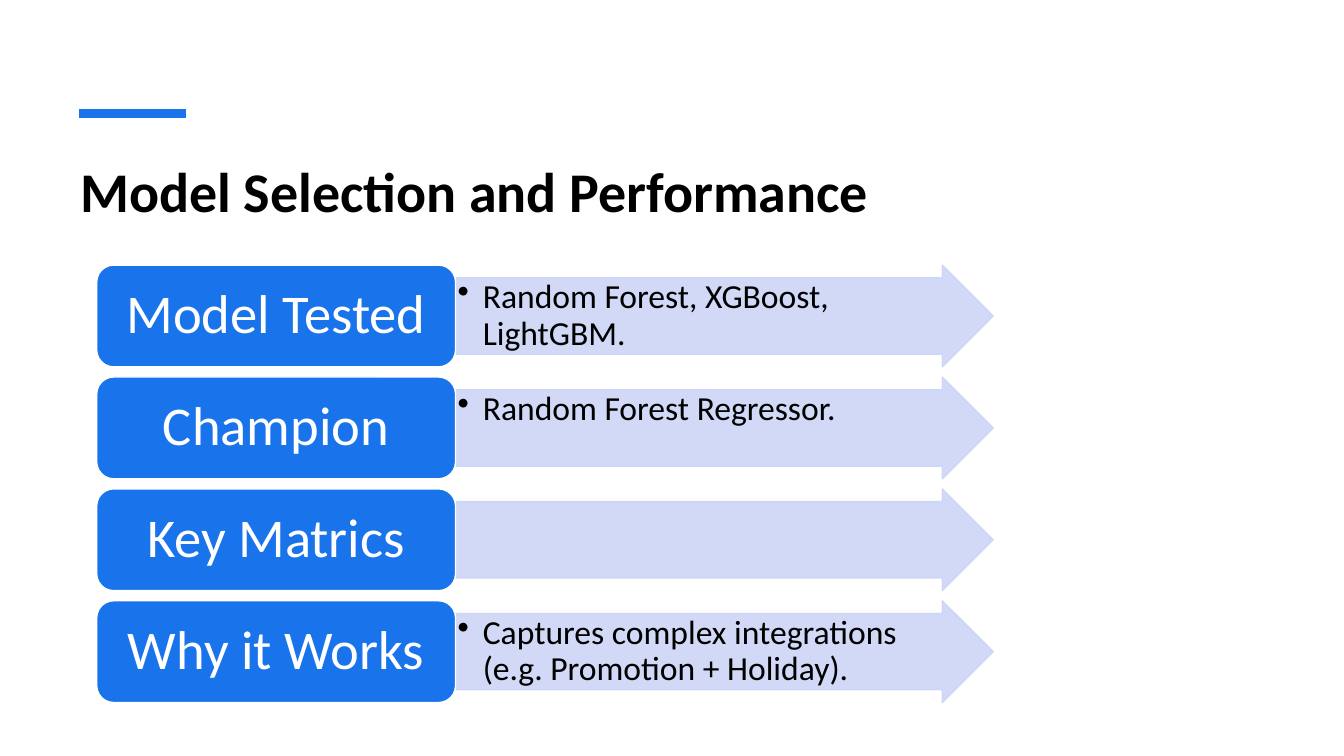
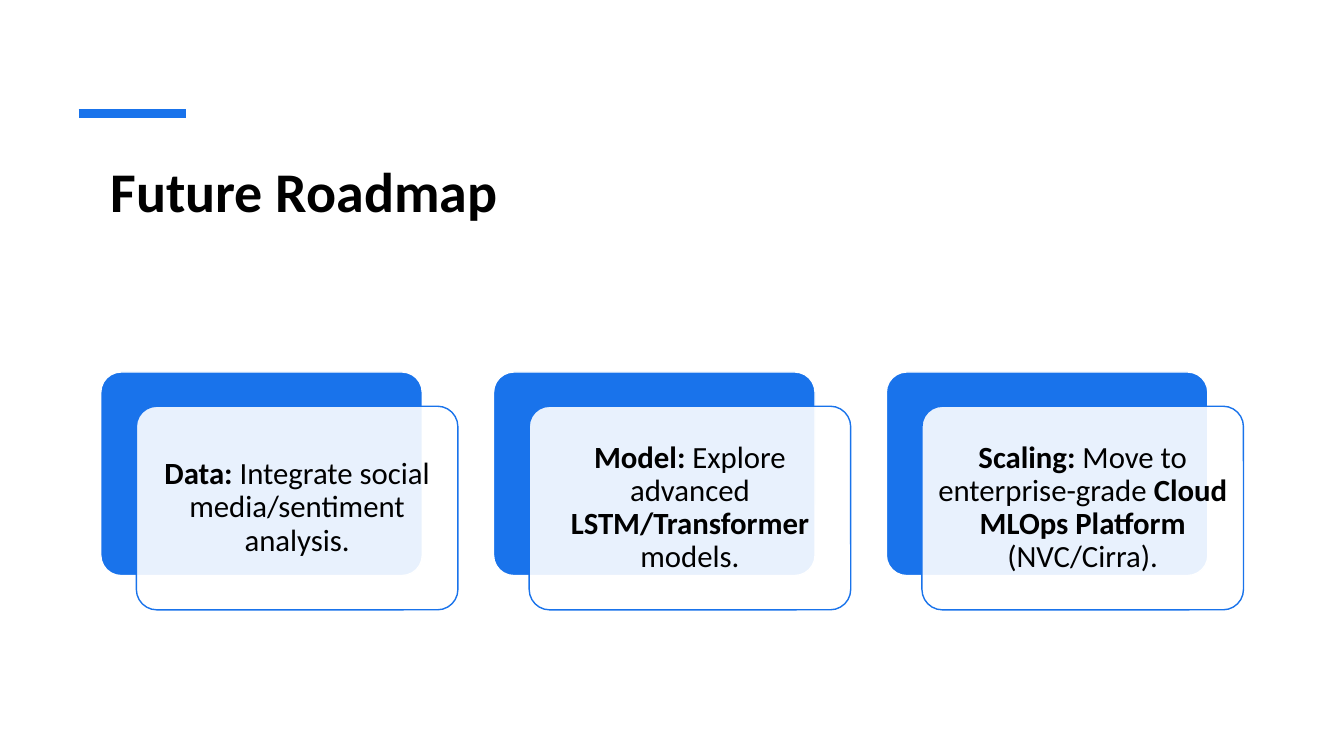
import pptx
import pptx.dml.color
import pptx.enum.shapes
import pptx.enum.text
import pptx.oxml
import pptx.oxml.ns
import pptx.util

RGB = pptx.dml.color.RGBColor
BLUE = RGB(0x19, 0x73, 0xEB)
PALE = RGB(0xCC, 0xD5, 0xF7)
BLACK = RGB(0, 0, 0)
WHITE = RGB(0xFF, 0xFF, 0xFF)

SHAPE = pptx.enum.shapes.MSO_SHAPE
ALIGN = pptx.enum.text.PP_ALIGN
ANCHOR = pptx.enum.text.MSO_ANCHOR

FONT = "Calibri"
WIDE, HIGH = pptx.util.Inches(13.333), pptx.util.Inches(7.5)
COLS, ROWS = 40, 30


def child(node, tag, **attrs):
    item = pptx.oxml.parse_xml(f"<{tag} {pptx.oxml.ns.nsdecls('a')}/>")
    for name, value in attrs.items():
        item.set(name, str(value))
    node.append(item)


def paint(fill, color, alpha):
    fill.solid()
    fill.fore_color.rgb = color
    if alpha < 100:
        tint = fill._xPr.find(".//" + pptx.oxml.ns.qn("a:srgbClr"))
        child(tint, "a:alpha", val=alpha * 1000)


def write(shape, text, size=22, color=BLACK, align=ALIGN.CENTER,
          anchor=ANCHOR.MIDDLE, pad=(0.09, 0.09), gap=0.9, bullet=False):
    frame = shape.text_frame
    frame.word_wrap = True
    frame.vertical_anchor = anchor
    frame.margin_left = frame.margin_right = pptx.util.Inches(pad[0])
    frame.margin_top = frame.margin_bottom = pptx.util.Inches(pad[1])
    para = frame.paragraphs[0]
    para.alignment = align
    para.line_spacing = gap
    if bullet:
        props = para._p.get_or_add_pPr()
        dent = pptx.util.Inches(0.25)
        props.set("marL", str(dent))
        props.set("indent", str(-dent))
        child(props, "a:buChar", char="•")
    for spot, part in enumerate(text.split("*")):
        if part:
            run = para.add_run()
            run.text = part
            run.font.name = FONT
            run.font.size = pptx.util.Pt(size)
            run.font.color.rgb = color
            run.font.bold = spot % 2 == 1


class Deck:
    def __init__(self):
        self.show = pptx.Presentation()
        self.show.slide_width, self.show.slide_height = WIDE, HIGH
        self.slide = None

    def grid(self, col, row):
        return round(col * WIDE / COLS), round(row * HIGH / ROWS)

    def page(self, title, col):
        self.slide = self.show.slides.add_slide(self.show.slide_layouts[6])
        self.rule(2.34, 5.55, 4.5)
        box = self.slide.shapes.add_textbox(
            *self.grid(col, 6), *self.grid(COLS - 2 * col, 5))
        write(box, f"*{title}*", size=40, align=ALIGN.LEFT,
              anchor=ANCHOR.TOP, pad=(0.1, 0.05), gap=1)

    def rule(self, start, end, row):
        line = self.slide.shapes.add_connector(
            pptx.enum.shapes.MSO_CONNECTOR.STRAIGHT,
            *self.grid(start, row), *self.grid(end, row))
        line.line.color.rgb = BLUE
        line.line.width = pptx.util.Pt(6)
        child(line._element.spPr, "a:effectLst")

    def block(self, kind, col, row, wide, high, fill, edge,
              bends=(), alpha=100, veil=100):
        shape = self.slide.shapes.add_shape(
            kind, *self.grid(col, row), *self.grid(wide, high))
        shape.shadow.inherit = False
        for spot, bend in enumerate(bends):
            shape.adjustments[spot] = bend
        paint(shape.fill, fill, alpha)
        shape.line.width = pptx.util.Pt(1)
        paint(shape.line.fill, edge, veil)
        return shape

    def step(self, row, label, detail):
        arrow = self.block(SHAPE.RIGHT_ARROW, 13.56, row, 16, 4.04, PALE,
                           PALE, bends=(0.75, 0.5), alpha=90, veil=90)
        if detail:
            write(arrow, detail, size=24, align=ALIGN.LEFT,
                  anchor=ANCHOR.TOP, pad=(0.02, 0.02), bullet=True)
        box = self.block(SHAPE.ROUNDED_RECTANGLE, 2.88, row, 10.68, 4.04,
                         BLUE, WHITE)
        write(box, label, size=39, color=WHITE, pad=(0.16, 0.08))

    def card(self, col, row, text):
        size = 9.57, 8.08
        self.block(SHAPE.ROUNDED_RECTANGLE, col, row, *size, BLUE, WHITE,
                   bends=(0.1,))
        front = self.block(SHAPE.ROUNDED_RECTANGLE, col + 1.06, row + 1.36,
                           *size, WHITE, BLUE, bends=(0.1,), alpha=90)
        write(front, text)


STEPS = (
    ("Model Tested", "Random Forest, XGBoost, LightGBM."),
    ("Champion", "Random Forest Regressor."),
    ("Key Matrics", ""),
    ("Why it Works",
     "Captures complex integrations (e.g. Promotion + Holiday)."),
)
CARDS = (
    "*Data:* Integrate social media/sentiment analysis.",
    "*Model:* Explore advanced *LSTM/Transformer* models.",
    "*Scaling:* Move to enterprise-grade *Cloud MLOps Platform* (NVC/Cirra).",
)


def main():
    deck = Deck()
    deck.page("Model Selection and Performance", 2.1)
    for turn, (label, detail) in enumerate(STEPS):
        deck.step(10.52 + 4.44 * turn, label, detail)
    deck.page("Future Roadmap", 3)
    for turn, text in enumerate(CARDS):
        deck.card(3 + 11.69 * turn, 14.76, text)
    deck.show.save("out.pptx")


if __name__ == "__main__":
    main()
